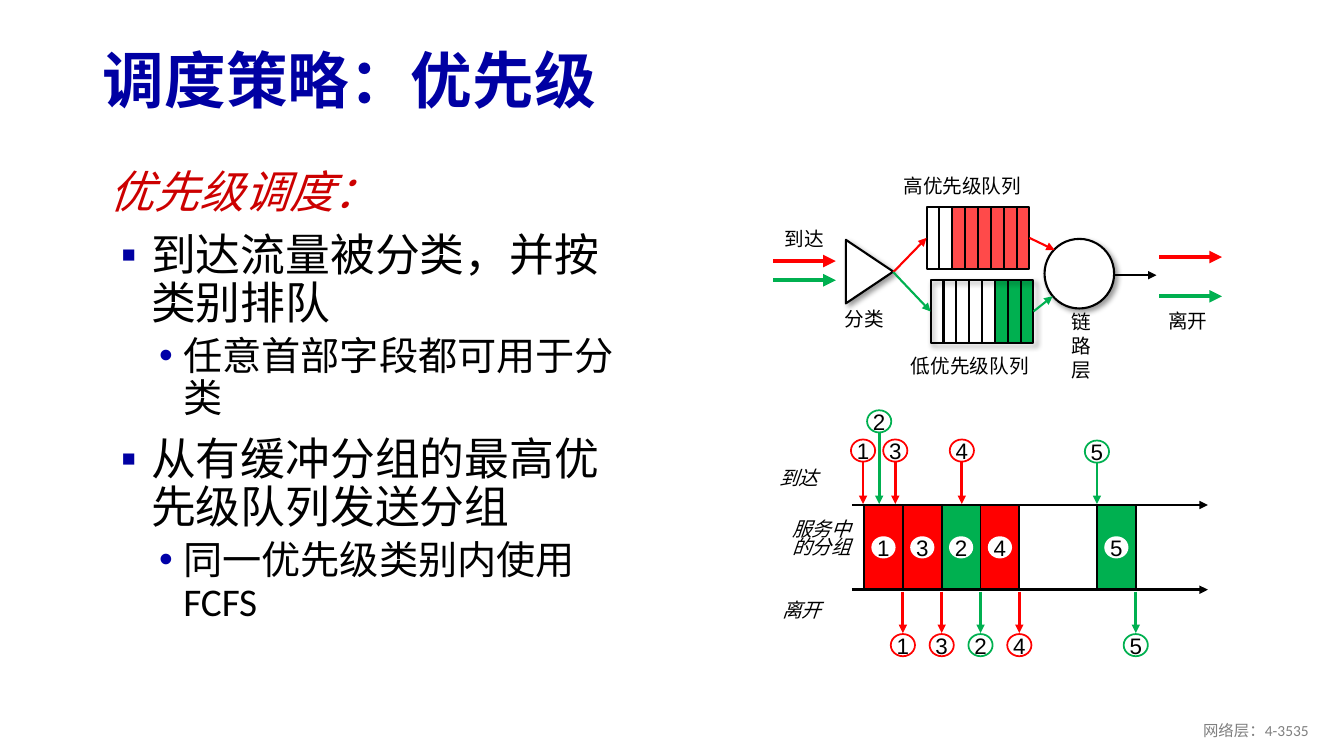
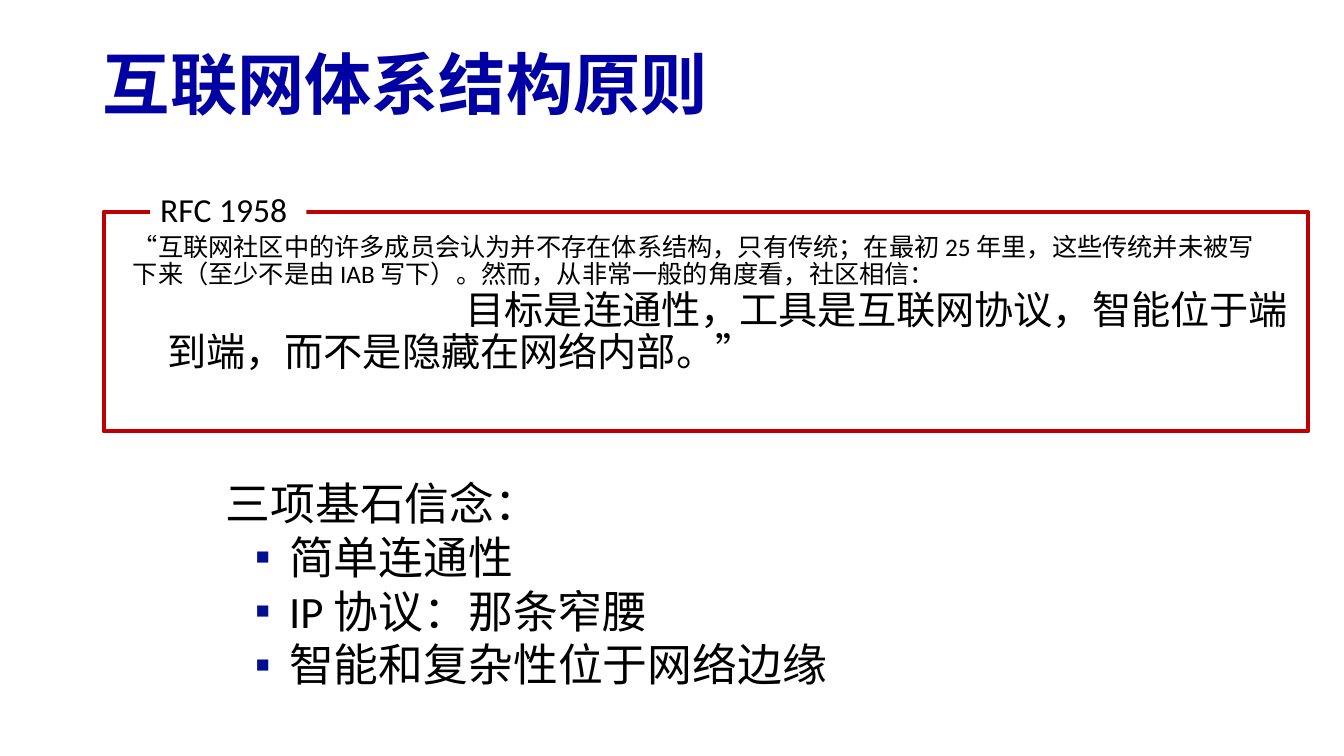
from dataclasses import dataclass
from typing import Optional

from pptx import Presentation
from pptx.dml.color import RGBColor
from pptx.enum.shapes import MSO_CONNECTOR, MSO_SHAPE
from pptx.enum.text import MSO_ANCHOR, MSO_AUTO_SIZE, PP_ALIGN
from pptx.oxml.ns import qn
from pptx.oxml.xmlchemy import OxmlElement
from pptx.util import Inches, Pt

RECT, OVAL = MSO_SHAPE.RECTANGLE, MSO_SHAPE.OVAL
WEDGE = MSO_SHAPE.ISOSCELES_TRIANGLE
STRAIGHT = MSO_CONNECTOR.STRAIGHT
TOP, MIDDLE = MSO_ANCHOR.TOP, MSO_ANCHOR.MIDDLE
LEFT, CENTER, RIGHT = PP_ALIGN.LEFT, PP_ALIGN.CENTER, PP_ALIGN.RIGHT
FIXED = MSO_AUTO_SIZE.NONE

HUES = {
    "title": "0000A3", "dot": "0000A8", "mark": "010F90", "head": "CC0000",
    "frame": "C00000", "red": "FF0000", "green": "00B050",
    "black": "000000", "white": "FFFFFF", "gray": "808080",
}
BODY, LABEL = "Calibri", "Arial"


@dataclass
class Para:
    text: str
    size: float
    font: str = BODY
    hue: str = "black"
    bold: bool = False
    slant: bool = False
    align: PP_ALIGN = LEFT
    margin: float = 0
    indent: float = 0
    mark: str = ""
    tint: str = "title"
    before: float = 0
    pitch: Optional[float] = None
    level: int = 0


def rgb(hue):
    return RGBColor.from_string(HUES[hue])


def node(parent, tag, **attrs):
    child = OxmlElement(tag)
    for key, value in attrs.items():
        child.set(key, str(value))
    parent.append(child)
    return child


def write(frame, paras, anchor=TOP, wrap=True, inset=True):
    frame.auto_size = FIXED
    frame.word_wrap = wrap
    frame.vertical_anchor = anchor
    side, edge = (0.1, 0.05) if inset else (0, 0)
    frame.margin_left = frame.margin_right = Inches(side)
    frame.margin_top = frame.margin_bottom = Inches(edge)
    for i, item in enumerate(paras):
        para = frame.add_paragraph() if i else frame.paragraphs[0]
        props = para._p.get_or_add_pPr()
        props.set("marL", str(Inches(item.margin)))
        props.set("indent", str(Inches(item.indent)))
        if item.mark:
            node(node(props, "a:buClr"), "a:srgbClr", val=HUES[item.tint])
            node(props, "a:buFont", typeface=LABEL)
            node(props, "a:buChar", char=item.mark)
        para.level = item.level
        para.alignment = item.align
        para.space_before = Pt(item.before if i else 0)
        if item.pitch:
            para.line_spacing = item.pitch
        run = para.add_run()
        run.text = item.text
        font = run.font
        font.name, font.size = item.font, Pt(item.size)
        font.bold, font.italic = item.bold, item.slant
        font.color.rgb = rgb(item.hue)


def head(slide, text, top, size):
    title = slide.shapes.title
    title.left, title.top = Inches(0.92), Inches(top)
    title.width, title.height = Inches(11.5), Inches(0.98)
    write(title.text_frame,
          [Para(text, size, hue="title", bold=True, pitch=0.9)], MIDDLE)


def note(slide, spot, *paras, **style):
    box = slide.shapes.add_textbox(*map(Inches, spot))
    write(box.text_frame, paras, **style)
    return box


def label(slide, text, *spot, **style):
    note(slide, spot, Para(text, 14, LABEL, **style))


def shape(slide, kind, spot, fill=None, line=None, width=1.5, shade=False):
    item = slide.shapes.add_shape(kind, *map(Inches, spot))
    item.shadow.inherit = False
    if fill:
        item.fill.solid()
        item.fill.fore_color.rgb = rgb(fill)
    else:
        item.fill.background()
    if line:
        item.line.color.rgb = rgb(line)
        item.line.width = Pt(width)
    else:
        item.line.fill.background()
    if shade:
        glow = node(item.element.spPr.find(qn("a:effectLst")), "a:outerShdw",
                    blurRad=Pt(4), dist=Pt(3), dir=45 * 60000, rotWithShape=0)
        node(node(glow, "a:srgbClr", val=HUES["black"]), "a:alpha", val=40000)
    return item


def link(slide, start, end, hue="black", width=1.5, arrow=True):
    line = slide.shapes.add_connector(STRAIGHT, *map(Inches, start + end))
    line.line.color.rgb = rgb(hue)
    line.line.width = Pt(width)
    props = line.element.find(qn("p:spPr"))
    if arrow:
        node(props.find(qn("a:ln")), "a:tailEnd", type="triangle")
    node(props, "a:effectLst")
    return line


def queue(slide, left, top, hue, used, alpha=100, shade=False):
    wide, high, cells = 1.02, 0.62, 8
    step = wide / cells
    load = shape(slide, RECT,
                 (left + (cells - used) * step, top, used * step, high), hue)
    tone = load.element.spPr.find(qn("a:solidFill"))[0]
    node(tone, "a:alpha", val=alpha * 1000)
    box = shape(slide, RECT, (left, top, wide, high), line="black",
                shade=shade)
    for i in range(1, cells):
        x = left + i * step
        link(slide, (x, top), (x, top + high), arrow=False)
    return box


def badge(slide, x, y, digit, line=None):
    disc = shape(slide, OVAL, (x - 0.12, y - 0.11, 0.24, 0.22), "white",
                 line, 1.25)
    write(disc.text_frame, [Para(digit, 16, LABEL, align=CENTER)], MIDDLE,
          wrap=False, inset=False)


def system(slide):
    high = queue(slide, 9.19, 2.05, "red", 6, alpha=71)
    low = queue(slide, 9.23, 2.78, "green", 3, shade=True)
    wedge = shape(slide, WEDGE, (8.31, 2.46, 0.63, 0.47), "white", "black",
                  shade=True)
    wedge.rotation = 90
    shape(slide, OVAL, (10.36, 2.37, 0.69, 0.69), "white", "black",
          shade=True)
    tip = (8.86, 2.7)
    for box, hue, goal in ((high, "red", (10.46, 2.48)),
                           (low, "green", (10.44, 2.94))):
        link(slide, tip, goal, hue).end_connect(box, 1)
        link(slide, tip, goal, hue).begin_connect(box, 3)
    link(slide, (11.05, 2.73), (11.47, 2.73))
    for x, y, hue in ((7.67, 2.59, "red"), (7.67, 2.78, "green"),
                      (11.5, 2.55, "red"), (11.5, 2.94, "green")):
        link(slide, (x, y), (x + 0.62, y), hue, 3)
    for text, *spot in (
        ("高优先级队列", 8.64, 1.68, 1.81, 0.34),
        ("低优先级队列", 8.75, 3.46, 1.74, 0.34),
        ("到达", 7.56, 2.2, 0.83, 0.34),
        ("分类", 8.14, 3, 0.86, 0.34),
        ("离开", 11.21, 3.02, 1.14, 0.34),
        ("链路层", 10.47, 3.03, 0.5, 0.8),
    ):
        label(slide, text, *spot, align=CENTER)


def timeline(slide):
    left, slot, top, base = 8.57, 0.385, 5.01, 5.85
    jobs = (("1", "red", 0, 8.56, 4.47), ("3", "red", 1, 8.88, 4.47),
            ("2", "green", 2, 8.72, 4.18), ("4", "red", 3, 9.54, 4.47),
            ("5", "green", 6, 10.88, 4.48))
    for digit, hue, place, *_ in jobs:
        x = left + place * slot
        shape(slide, RECT, (x, top, slot, base - top), hue, "black", 1.25)
        badge(slide, x + slot / 2, (top + base) / 2, digit)
    for y in (top, base):
        link(slide, (8.45, y), (11.98, y), width=2)
    for digit, hue, place, x, y in jobs:
        badge(slide, x, y, digit, hue)
        link(slide, (x, y + 0.11), (x, top - 0.01), hue, 2)
        done = left + (place + 1) * slot
        badge(slide, done, 6.4, digit, hue)
        link(slide, (done, base + 0.02), (done, 6.28), hue, 2)
    label(slide, "到达", 7.63, 4.57, 0.88, 0.34, slant=True)
    label(slide, "离开", 7.66, 5.88, 1.19, 0.34, slant=True)
    label(slide, "服务中的分组", 7.68, 5.13, 0.94, 0.65, slant=True,
          align=CENTER, pitch=Pt(12.8))


def point(text):
    return Para(text, 32, margin=0.56, indent=-0.3, mark="▪", before=10,
                pitch=0.9)


def detail(text):
    return Para(text, 28, margin=0.88, indent=-0.24, mark="•", tint="dot",
                before=5, pitch=0.9, level=1)


def policy(slide):
    head(slide, "调度策略：优先级", 0.34, 44)
    note(slide, (0.84, 1.64, 5.56, 2.93),
         Para("优先级调度：", 32, hue="head", slant=True, margin=0.39,
              indent=-0.24, pitch=0.9),
         point("到达流量被分类，并按类别排队"),
         detail("任意首部字段都可用于分类"))
    note(slide, (0.84, 4.28, 5.56, 2.15),
         point("从有缓冲分组的最高优先级队列发送分组"),
         detail("同一优先级类别内使用 FCFS"))
    system(slide)
    timeline(slide)
    note(slide, (10.08, 7.05, 3, 0.4),
         Para("网络层：4-3535", 11, hue="gray", align=RIGHT), anchor=MIDDLE)


def tenets(slide):
    head(slide, "互联网体系结构原则", 0.38, 48)
    note(slide, (1.22, 2.28, 11.5, 0.92),
         Para("“互联网社区中的许多成员会认为并不存在体系结构，只有传统；"
              "在最初 25 年里，这些传统并未被写下来（至少不是由 IAB 写下）。"
              "然而，从非常一般的角度看，社区相信：", 18, pitch=0.9))
    shape(slide, RECT, (1.03, 2.1, 11.94, 2.18), line="frame", width=3)
    tag = note(slide, (1.49, 1.83, 1.55, 0.5), Para("RFC 1958", 24),
               wrap=False)
    tag.fill.solid()
    tag.fill.fore_color.rgb = rgb("white")
    note(slide, (1.56, 2.83, 11.5, 1.37),
         Para("目标是连通性，工具是互联网协议，智能位于端到端，"
              "而不是隐藏在网络内部。”", 28, indent=2.96, pitch=0.9))
    beliefs = ("简单连通性", "IP 协议：那条窄腰", "智能和复杂性位于网络边缘")
    note(slide, (2.14, 4.67, 9.93, 2.56), Para("三项基石信念：", 32),
         *(Para(text, 32, margin=0.63, indent=-0.34, mark="▪", tint="mark")
           for text in beliefs))


def main():
    deck = Presentation()
    deck.slide_width, deck.slide_height = Inches(13.33), Inches(7.5)
    for build in (policy, tenets):
        build(deck.slides.add_slide(deck.slide_layouts[5]))
    deck.save("out.pptx")


if __name__ == "__main__":
    main()
